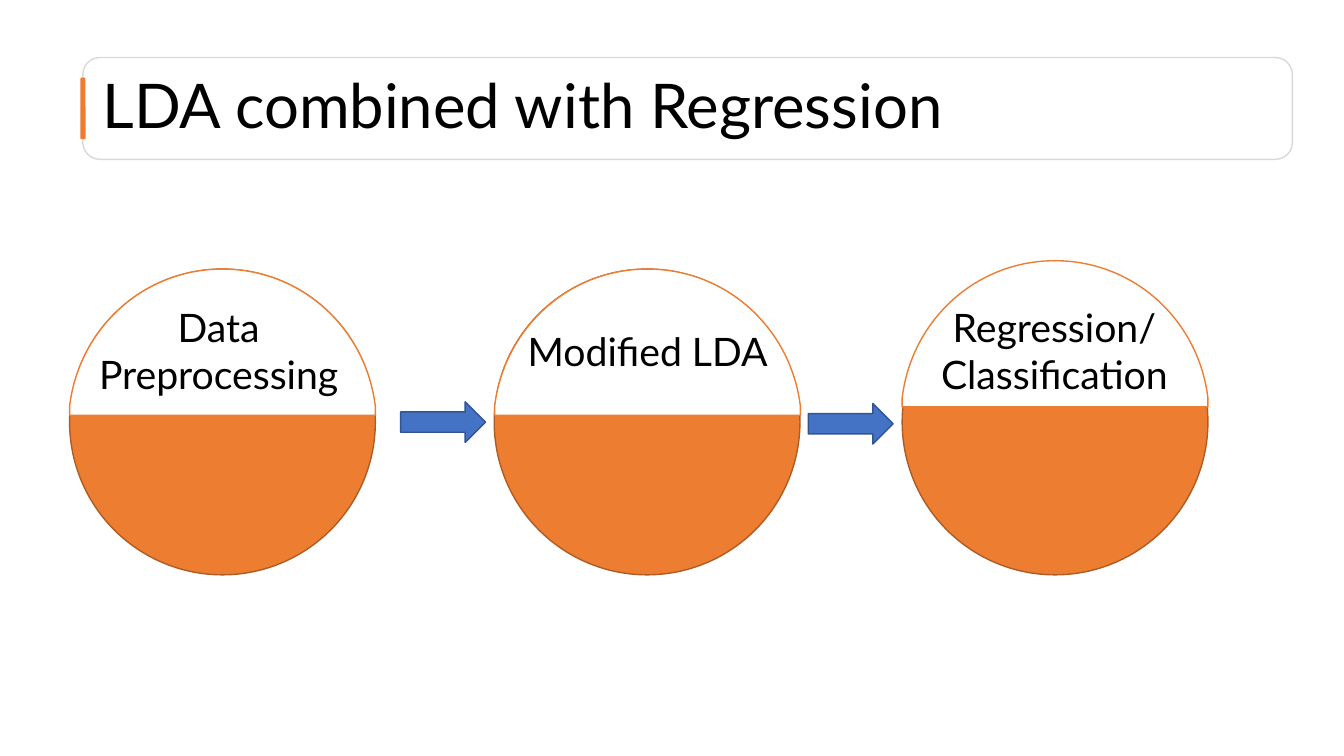
from pptx import Presentation
from pptx.dml.color import RGBColor
from pptx.enum.shapes import MSO_SHAPE as SHAPE
from pptx.enum.text import MSO_ANCHOR as ANCHOR, PP_ALIGN as ALIGN
from pptx.oxml import parse_xml
from pptx.oxml.ns import nsdecls, qn
from pptx.util import Pt

TITLE = "LDA combined with Regression"
STAGES = [
    {"lines": ["Data", "Preprocessing"], "left": 49.7, "cap": (49.7, 192.2), "label": (56.9, 198.7)},
    {"lines": ["Modified LDA"], "left": 353, "cap": (353.3, 192.2), "label": (353.5, 218.2)},
    {"lines": ["Regression/", "Classification"], "left": 644.4, "cap": (644.4, 186.2), "label": (657.4, 191.5)},
]
ARROWS = [(286.2, 287), (577.4, 288.2)]

FONT = "Lato"
COLORS = {
    "text": "000000", "white": "FFFFFF", "orange": "ED7D31", "brown": "AF5C24",
    "blue": "4472C4", "navy": "325491", "grey": "D9D9D9",
}
DIAMETER, CIRCLE_TOP, CAP_HEIGHT = 218.4, 192.2, 104.4
LABEL_MIDDLE, LINE_HEIGHT, INSETS = 250.4, 33.7, 7.2
CAP_CORNERS = [(0.5, 0), (1, 0.94), (1, 1), (0, 1), (0, 0.94), (0.5, 0)]
CAP_CURVES = {0: [(0.76, 0), (0.97, 0.41)], 4: [(0.03, 0.41), (0.24, 0)]}

prs = Presentation()
prs.slide_width, prs.slide_height = Pt(960), Pt(540)
s = prs.slides.add_slide(prs.slide_layouts[6])


def paint(sp, fill=None, line=None):
    sp.shadow.inherit = False
    if fill:
        sp.fill.solid()
        sp.fill.fore_color.rgb = RGBColor.from_string(COLORS[fill])
    else:
        sp.fill.background()
    if line:
        sp.line.color.rgb = RGBColor.from_string(COLORS[line])
        sp.line.width = Pt(1)
    else:
        sp.line.fill.background()


def add_shape(kind, x, y, w, h, **colors):
    paint(s.shapes.add_shape(kind, Pt(x), Pt(y), Pt(w), Pt(h)), **colors)


def add_cap(x, y):
    points = [(Pt(x + DIAMETER * u), Pt(y + CAP_HEIGHT * v)) for u, v in CAP_CORNERS]
    builder = s.shapes.build_freeform(*points[0])
    builder.add_line_segments(points[1:], close=True)
    sp = builder.convert_to_shape()
    segments = list(sp._element.iter(qn("a:lnTo")))
    for index, controls in CAP_CURVES.items():
        segments[index].tag = qn("a:cubicBezTo")
        for i, (u, v) in enumerate(controls):
            px, py = Pt(DIAMETER * u), Pt(CAP_HEIGHT * v)
            segments[index].insert(i, parse_xml(f'<a:pt {nsdecls("a")} x="{px}" y="{py}"/>'))
    paint(sp, fill="white", line="orange")


def add_text(lines, x, y, w, h, size, align=ALIGN.LEFT, spacing=None):
    tf = s.shapes.add_textbox(Pt(x), Pt(y), Pt(w), Pt(h)).text_frame
    tf.word_wrap = True
    tf.vertical_anchor = ANCHOR.MIDDLE
    for i, line in enumerate(lines):
        p = tf.add_paragraph() if i else tf.paragraphs[0]
        p.alignment, p.line_spacing = align, spacing
        r = p.add_run()
        r.text = line
        r.font.name, r.font.size = FONT, Pt(size)
        r.font.color.rgb = RGBColor.from_string(COLORS["text"])


add_text([TITLE], 66.2, 25.2, 828, 104.4, size=44, spacing=0.9)

for stage in STAGES:
    add_shape(SHAPE.OVAL, stage["left"], CIRCLE_TOP, DIAMETER, DIAMETER, fill="orange", line="brown")
    add_cap(*stage["cap"])

for x, y in ARROWS:
    add_shape(SHAPE.RIGHT_ARROW, x, y, 60.6, 29, fill="blue", line="navy")

for stage in STAGES:
    x, w = stage["label"]
    h = INSETS + LINE_HEIGHT * len(stage["lines"])
    add_text(stage["lines"], x, LABEL_MIDDLE - h / 2, w, h, size=28, align=ALIGN.CENTER)

add_shape(SHAPE.ROUNDED_RECTANGLE, 59.2, 41.1, 864, 72.7, line="grey")
add_shape(SHAPE.ROUNDED_RECTANGLE, 57.5, 55.5, 3.6, 44, fill="orange")

prs.save("out.pptx")
